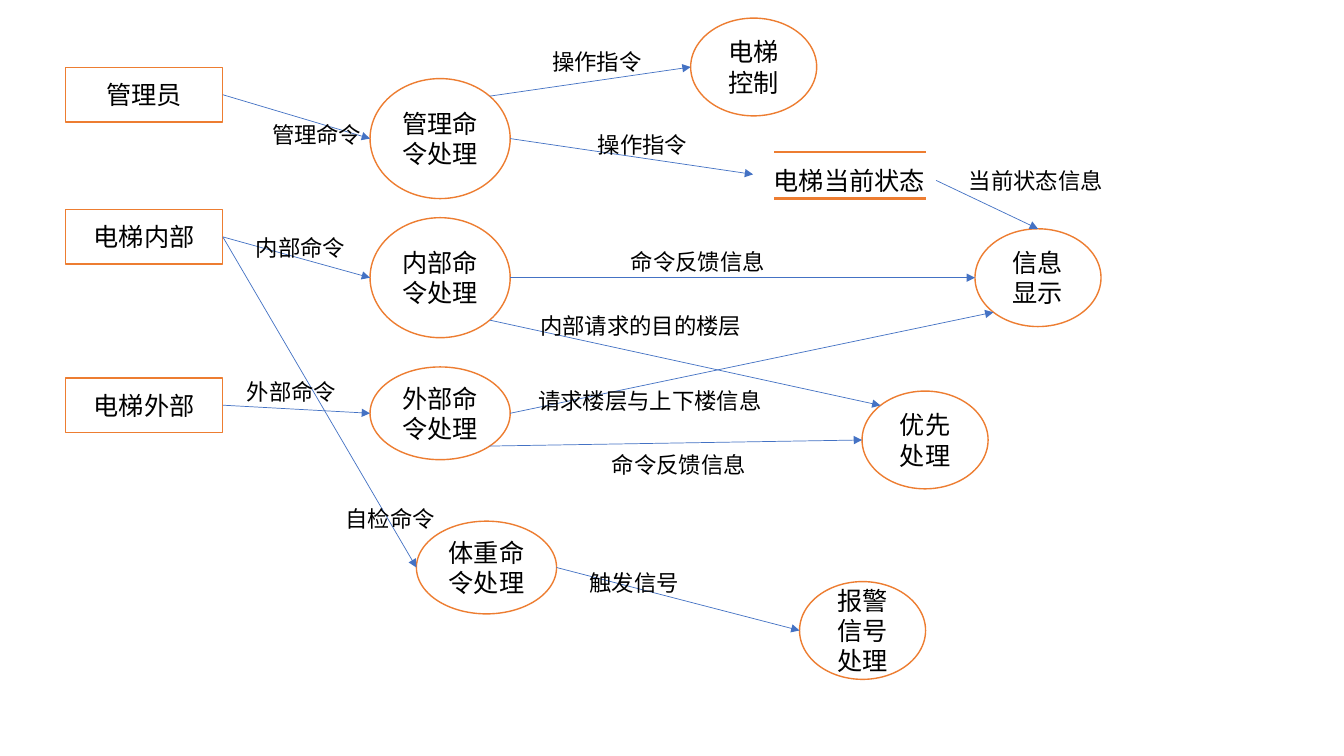
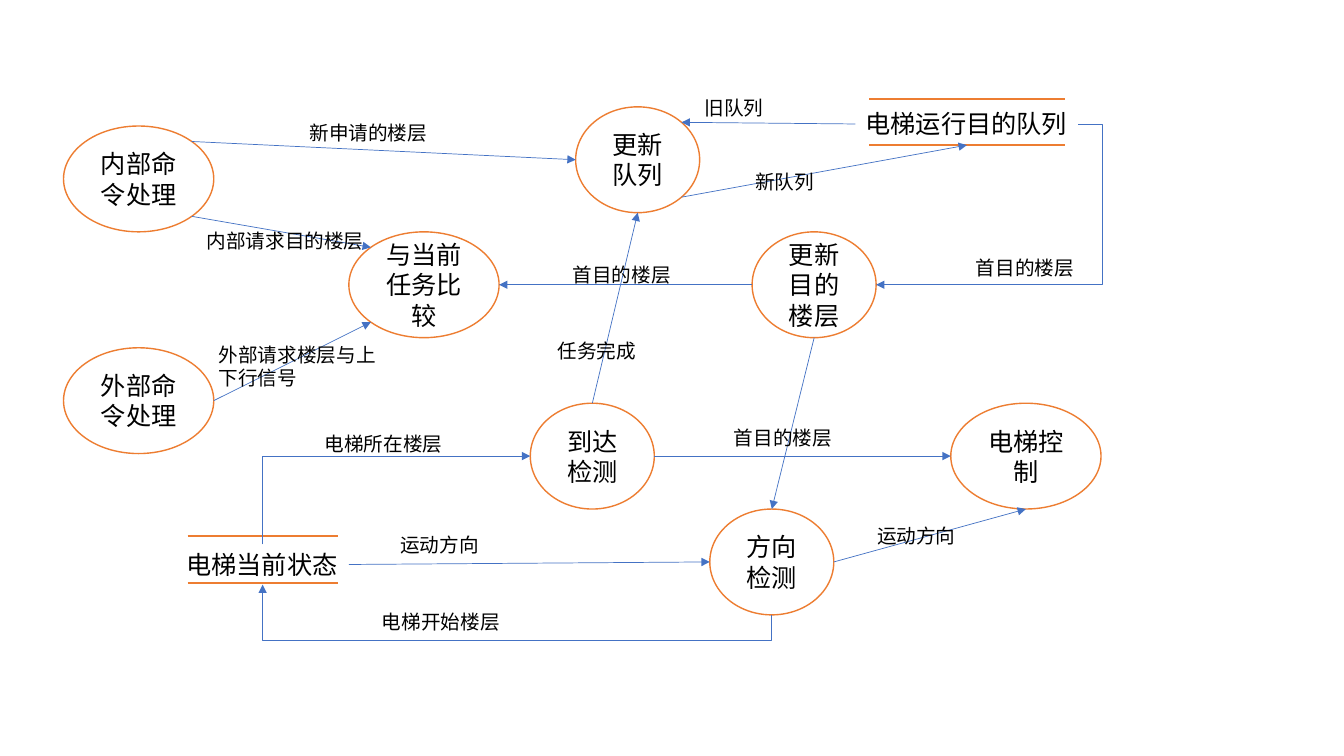
from lxml import etree
from math import sqrt

from pptx import Presentation
from pptx.dml.color import RGBColor
from pptx.enum.shapes import MSO_CONNECTOR, MSO_SHAPE
from pptx.enum.text import MSO_ANCHOR, MSO_AUTO_SIZE, PP_ALIGN
from pptx.oxml.ns import qn
from pptx.util import Emu, Pt

RECT, ELLIPSE = MSO_SHAPE.RECTANGLE, MSO_SHAPE.OVAL
STRAIGHT, ELBOW = MSO_CONNECTOR.STRAIGHT, MSO_CONNECTOR.ELBOW
MIDDLE, ANCHOR_TOP = MSO_ANCHOR.MIDDLE, MSO_ANCHOR.TOP
CENTER, ALIGN_LEFT = PP_ALIGN.CENTER, PP_ALIGN.LEFT
FIT_TEXT, FIXED = MSO_AUTO_SIZE.SHAPE_TO_FIT_TEXT, MSO_AUTO_SIZE.NONE

ORANGE = RGBColor(0xED, 0x7D, 0x31)
BLUE = RGBColor(0x44, 0x72, 0xC4)
WHITE = RGBColor(0xFF, 0xFF, 0xFF)
BLACK = RGBColor(0x00, 0x00, 0x00)
FONT = "Noto Sans CJK SC"
NODE_SIZE = 18
LABEL_HEIGHTS = {14: 34, 16: 37, 18: 40}
STORE_GAP = 46

EMU_PER_PX = 9144  # 100 px to the inch
SLIDE_WIDTH, SLIDE_HEIGHT = 1333, 750

# Directions from the centre of a node, in the order of an ellipse's sites
TOP, TOP_LEFT, LEFT, BOTTOM_LEFT = (0, -1), (-1, -1), (-1, 0), (-1, 1)
BOTTOM, BOTTOM_RIGHT, RIGHT, TOP_RIGHT = (0, 1), (1, 1), (1, 0), (1, -1)
SITES = [TOP, TOP_LEFT, LEFT, BOTTOM_LEFT, BOTTOM, BOTTOM_RIGHT, RIGHT, TOP_RIGHT]


def px(length):
    return Emu(round(length * EMU_PER_PX))


def write_text(shape, text, size, frame_format, align):
    frame = shape.text_frame
    for name, value in frame_format.items():
        setattr(frame, name, value)
    paragraph = frame.paragraphs[0]
    paragraph.alignment = align
    run = paragraph.add_run()
    run.text = text
    for name, value in {"size": Pt(size), "name": FONT}.items():
        setattr(run.font, name, value)
    run.font.color.rgb = BLACK
    etree.SubElement(run.font._element, qn("a:ea"), typeface=FONT)


def add_node(slide, kind, text, box):
    """An outlined process (ellipse) or external entity (rectangle)."""
    node = slide.shapes.add_shape(kind, *map(px, box))
    node.shadow.inherit = False
    node.fill.solid()
    node.fill.fore_color.rgb = WHITE
    node.line.color.rgb = ORANGE
    node.line.width = Pt(1)
    frame_format = {"word_wrap": True, "auto_size": FIXED, "vertical_anchor": MIDDLE}
    write_text(node, text, NODE_SIZE, frame_format, CENTER)
    return node


def add_label(slide, text, left, top, size, wrap_width=None):
    """A caption as wide as its full-width characters, or wrapped on two lines."""
    width = wrap_width or round(len(text) * size * 100 / 72) + 21
    height = 57 if wrap_width else LABEL_HEIGHTS[size]
    label = slide.shapes.add_textbox(*map(px, (left, top, width, height)))
    frame_format = {"word_wrap": bool(wrap_width), "auto_size": FIT_TEXT,
                    "vertical_anchor": ANCHOR_TOP}
    write_text(label, text, size, frame_format, ALIGN_LEFT)
    return label


def style_line(line, color, width):
    line.line.color.rgb = color
    line.line.width = Pt(width)
    etree.SubElement(line.element.spPr, qn("a:effectLst"))


def add_store(slide, text, left, top, width, label_drop):
    """A data store: a name between two bars."""
    for y in (top, top + STORE_GAP):
        bar = slide.shapes.add_connector(
            STRAIGHT, px(left), px(y), px(left + width), px(y))
        style_line(bar, ORANGE, 1.5)
    label_width = round(len(text) * NODE_SIZE * 100 / 72) + 21
    return add_label(slide, text, left + (width - label_width) / 2,
                     top + label_drop, NODE_SIZE)


def site_point(node, site):
    dx, dy = site
    reach = 1 / sqrt(2) if dx and dy else 1
    return (round(node.left + node.width * (1 + dx * reach) / 2),
            round(node.top + node.height * (1 + dy * reach) / 2))


def glue(connector, tag, node, site):
    index = SITES.index(site)
    geometry = node.element.spPr.find(qn("a:prstGeom")).get("prst")
    if geometry == "rect":
        index //= 2
    etree.SubElement(connector.element.nvCxnSpPr.cNvCxnSpPr, qn(tag),
                     id=str(node.shape_id), idx=str(index))


def turn_upright(connector, begin, end):
    """Turn an elbow by 90 degrees so that it leaves its start vertically."""
    dx, dy = end[0] - begin[0], end[1] - begin[1]
    place = {"left": Emu((begin[0] + end[0] - abs(dy)) // 2),
             "top": Emu((begin[1] + end[1] - abs(dx)) // 2),
             "width": Emu(abs(dy)), "height": Emu(abs(dx))}
    for name, value in place.items():
        setattr(connector, name, value)
    turn = {"rot": "5400000", "flipH": str(int(dy < 0)), "flipV": str(int(dx > 0))}
    for name, value in turn.items():
        connector.element.spPr.xfrm.set(name, value)


def add_flow(slide, nodes, source, target, bend=None):
    """An arrow between (node, site) ends or free points.

    bend: None for straight, "corner" for one corner, or the signed share of
    the run at which the middle part of an elbow lies.
    """
    points, glued = [], []
    for tag, (place, site) in (("a:stCxn", source), ("a:endCxn", target)):
        if place in nodes:
            points.append(site_point(nodes[place], site))
            glued.append((tag, nodes[place], site))
        else:
            points.append((px(place), px(site)))
    begin, end = points
    flow = slide.shapes.add_connector(STRAIGHT if bend is None else ELBOW, *begin, *end)
    for tag, node, site in glued:
        glue(flow, tag, node, site)
    style_line(flow, BLUE, 0.5)
    etree.SubElement(flow.line._ln, qn("a:tailEnd"), type="triangle")
    if bend is None:
        return
    geometry = flow.element.spPr.find(qn("a:prstGeom"))
    if bend == "corner":
        geometry.set("prst", "bentConnector2")
    else:
        etree.SubElement(geometry.find(qn("a:avLst")), qn("a:gd"),
                         name="adj1", fmla=f"val {round(bend * 100000)}")
    if source[1] in (TOP, BOTTOM):
        turn_upright(flow, begin, end)


def build_diagram(deck, content):
    slide = deck.slides.add_slide(deck.slide_layouts[6])
    nodes = {}
    for kind, text, *box in content["nodes"]:
        nodes[text] = add_node(slide, kind, text, box)
    for text, *place in content["stores"]:
        nodes[text] = add_store(slide, text, *place)
    for flow in content["flows"]:
        add_flow(slide, nodes, *flow)
    for text, left, top, *wrap_width in content["labels"]:
        add_label(slide, text, left, top, content["label_size"], *wrap_width)


# Slide 1: commands from people and car to the processes
COMMANDS = {
    "label_size": 16,
    "nodes": [
        (RECT, "管理员", 65, 67, 156, 54),
        (RECT, "电梯内部", 65, 208, 156, 54),
        (RECT, "电梯外部", 65, 375, 156, 54),
        (ELLIPSE, "管理命令处理", 367, 78, 139, 119),
        (ELLIPSE, "内部命令处理", 367, 216, 139, 119),
        (ELLIPSE, "外部命令处理", 367, 364, 139, 92),
        (ELLIPSE, "体重命令处理", 413, 517, 139, 92),
        (ELLIPSE, "电梯控制", 685, 18, 125, 97),
        (ELLIPSE, "信息显示", 967, 227, 125, 97),
        (ELLIPSE, "优先处理", 855, 388, 125, 97),
        (ELLIPSE, "报警信号处理", 793, 577, 125, 97),
    ],
    "stores": [("电梯当前状态", 768, 151, 150, 8)],
    "flows": [
        (("管理员", RIGHT), ("管理命令处理", LEFT)),
        (("电梯内部", RIGHT), ("内部命令处理", LEFT)),
        (("电梯外部", RIGHT), ("外部命令处理", LEFT)),
        (("电梯内部", RIGHT), ("体重命令处理", LEFT)),
        (("管理命令处理", TOP_RIGHT), ("电梯控制", LEFT)),
        (("管理命令处理", RIGHT), (747, 173)),
        (("电梯当前状态", RIGHT), ("信息显示", TOP)),
        (("内部命令处理", RIGHT), ("信息显示", LEFT)),
        (("内部命令处理", BOTTOM_RIGHT), ("优先处理", TOP_LEFT)),
        (("外部命令处理", RIGHT), ("信息显示", BOTTOM_LEFT)),
        (("外部命令处理", BOTTOM_RIGHT), ("优先处理", LEFT)),
        (("体重命令处理", RIGHT), ("报警信号处理", LEFT)),
    ],
    "labels": [
        ("操作指令", 538, 43),
        ("操作指令", 583, 125),
        ("管理命令", 260, 115),
        ("内部命令", 244, 227),
        ("外部命令", 235, 370),
        ("自检命令", 333, 496),
        ("当前状态信息", 951, 161),
        ("命令反馈信息", 616, 241),
        ("内部请求的目的楼层", 526, 305),
        ("请求楼层与上下楼信息", 524, 379),
        ("命令反馈信息", 597, 443),
        ("触发信号", 575, 560),
    ],
}

# Slide 2: scheduling of the destination queue
SCHEDULING = {
    "label_size": 14,
    "nodes": [
        (ELLIPSE, "内部命令处理", 63, 125, 149, 105),
        (ELLIPSE, "外部命令处理", 63, 345, 149, 105),
        (ELLIPSE, "与当前任务比较", 346, 230, 149, 105),
        (ELLIPSE, "电梯控制", 943, 400, 149, 105),
        (ELLIPSE, "到达检测", 526, 400, 123, 105),
        (ELLIPSE, "方向检测", 704, 505, 123, 105),
        (ELLIPSE, "更新目的楼层", 746, 230, 123, 105),
        (ELLIPSE, "更新队列", 571, 106, 123, 105),
    ],
    "stores": [
        ("电梯当前状态", 186, 532, 149, 8),
        ("电梯运行目的队列", 862, 98, 194, 5),
    ],
    "flows": [
        (("内部命令处理", BOTTOM_RIGHT), ("与当前任务比较", TOP_LEFT)),
        (("外部命令处理", RIGHT), ("与当前任务比较", BOTTOM_LEFT)),
        (("内部命令处理", TOP_RIGHT), ("更新队列", LEFT)),
        (("电梯运行目的队列", LEFT), ("更新队列", TOP_RIGHT)),
        (("更新队列", BOTTOM_RIGHT), (959, 144)),
        (("电梯运行目的队列", RIGHT), ("更新目的楼层", RIGHT), -0.12),
        (("更新目的楼层", LEFT), ("与当前任务比较", RIGHT)),
        (("到达检测", TOP), ("更新队列", BOTTOM)),
        (("电梯当前状态", TOP), ("到达检测", LEFT), "corner"),
        (("方向检测", BOTTOM), ("电梯当前状态", BOTTOM), -0.83),
        (("电梯当前状态", RIGHT), ("方向检测", LEFT)),
        (("到达检测", RIGHT), ("电梯控制", LEFT)),
        (("方向检测", RIGHT), ("电梯控制", BOTTOM)),
        (("更新目的楼层", BOTTOM), ("方向检测", TOP)),
    ],
    "labels": [
        ("新申请的楼层", 297, 115),
        ("内部请求目的楼层", 195, 222),
        ("外部请求楼层与上下行信号", 207, 335, 180),
        ("电梯所在楼层", 312, 424),
        ("运动方向", 387, 524),
        ("电梯开始楼层", 369, 600),
        ("首目的楼层", 558, 256),
        ("任务完成", 543, 331),
        ("首目的楼层", 718, 418),
        ("运动方向", 860, 515),
        ("首目的楼层", 958, 249),
        ("旧队列", 689, 90),
        ("新队列", 739, 164),
    ],
}


def main():
    deck = Presentation()
    deck.slide_width, deck.slide_height = px(SLIDE_WIDTH), px(SLIDE_HEIGHT)
    for content in (COMMANDS, SCHEDULING):
        build_diagram(deck, content)
    deck.save("out.pptx")


if __name__ == "__main__":
    main()
